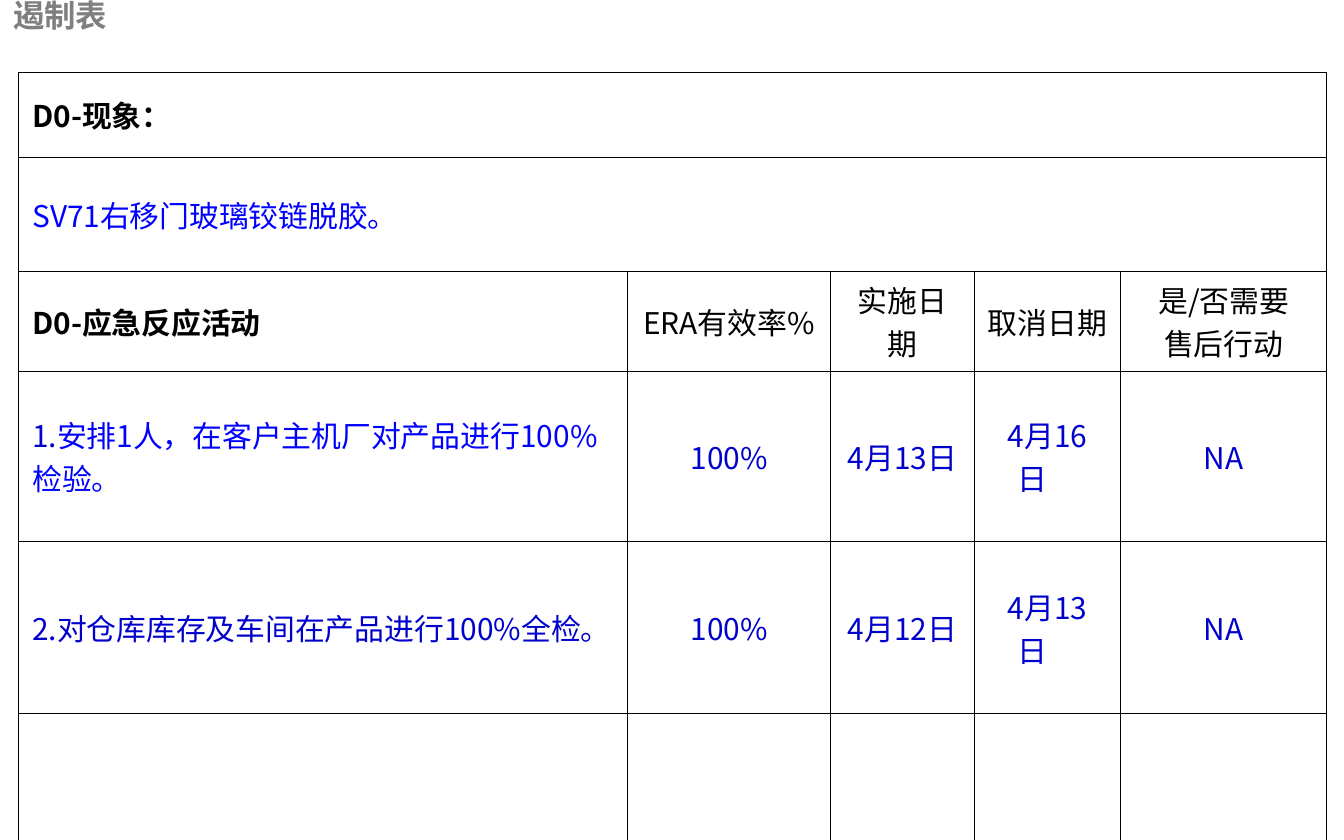
from lxml import etree
from pptx import Presentation
from pptx.dml.color import RGBColor
from pptx.enum import text
from pptx.oxml.ns import qn
from pptx.util import Inches, Pt

FONT = "Noto Sans CJK SC"
COLORS = {"black": "000000", "navy": "0000CC", "blue": "0000FF", "gray": "7F7F7F"}
COLUMN_WIDTHS = [4.53, 1.51, 1.07, 1.09, 1.53]
ROW_HEIGHTS = [0.63, 0.85, 0.64, 1.27, 1.28, 0.94]
HEADERS = ["D0-应急反应活动", "ERA有效率%", "实施日期", "取消日期", "是/否需要\n售后行动"]
ACTIONS = [
    ["1.", "100%", "4月13日", "4月16日　", "NA"],
    ["2.对仓库库存及车间在产品进行100%全检。", "100%", "4月12日", "4月13日　", "NA"],
]
FIRST_ACTION = "安排1人，在客户主机厂对产品进行100%检验。"


def color(name):
    return RGBColor.from_string(COLORS[name])


def style_paragraph(paragraph, size, color_name, bold=False):
    font = paragraph.font
    font.name, font.size, font.bold = FONT, Pt(size), bold
    font.color.rgb = color(color_name)
    properties = paragraph._p.pPr.find(qn("a:defRPr"))
    etree.SubElement(properties, qn("a:ea"), typeface=FONT)


def write_cell(cell, content, color_name="black", bold=False, centered=False):
    cell.text_frame.text = content
    for paragraph in cell.text_frame.paragraphs:
        if centered:
            paragraph.alignment = text.PP_ALIGN.CENTER
        style_paragraph(paragraph, 16, color_name, bold)


def format_cell(cell):
    cell.vertical_anchor = text.MSO_ANCHOR.MIDDLE
    properties = cell._tc.get_or_add_tcPr()
    for side in ("lnL", "lnR", "lnT", "lnB"):
        line = etree.SubElement(properties, qn(f"a:{side}"), w=str(Pt(0.45)))
        fill = etree.SubElement(line, qn("a:solidFill"))
        etree.SubElement(fill, qn("a:srgbClr"), val=COLORS["black"])
    cell.fill.background()


def add_title(slide):
    box = slide.shapes.add_textbox(Inches(0), Inches(-0.02), Inches(7.76), Inches(0.4))
    box.text_frame.word_wrap = True
    paragraph = box.text_frame.paragraphs[0]
    paragraph.text = "遏制表"
    paragraph.line_spacing = 0.8
    style_paragraph(paragraph, 16.8, "gray", bold=True)


def add_containment_table(slide):
    table = slide.shapes.add_table(
        len(ROW_HEIGHTS), len(COLUMN_WIDTHS), Inches(0.14), Inches(0.54),
        Inches(sum(COLUMN_WIDTHS)), Inches(sum(ROW_HEIGHTS))).table
    table.first_row = table.horz_banding = False
    for column, width in zip(table.columns, COLUMN_WIDTHS):
        column.width = Inches(width)
    for row, height in zip(table.rows, ROW_HEIGHTS):
        row.height = Inches(height)
    for cell in table.iter_cells():
        format_cell(cell)
    for row in range(2):
        table.cell(row, 0).merge(table.cell(row, len(COLUMN_WIDTHS) - 1))

    write_cell(table.cell(0, 0), "D0-现象：", bold=True)
    write_cell(table.cell(1, 0), "SV71右移门玻璃铰链脱胶。", "blue")
    for column, header in enumerate(HEADERS):
        write_cell(table.cell(2, column), header, bold=column == 0, centered=column > 0)
    for row, action in enumerate(ACTIONS, start=3):
        for column, content in enumerate(action):
            write_cell(table.cell(row, column), content, "navy", centered=column > 0)
    run = table.cell(3, 0).text_frame.paragraphs[0].add_run()
    run.text = FIRST_ACTION
    run.font.color.rgb = color("blue")


def main():
    presentation = Presentation()
    presentation.slide_width, presentation.slide_height = Inches(10), Inches(6.25)
    slide = presentation.slides.add_slide(presentation.slide_layouts[6])
    add_containment_table(slide)
    add_title(slide)
    presentation.save("out.pptx")


if __name__ == "__main__":
    main()
